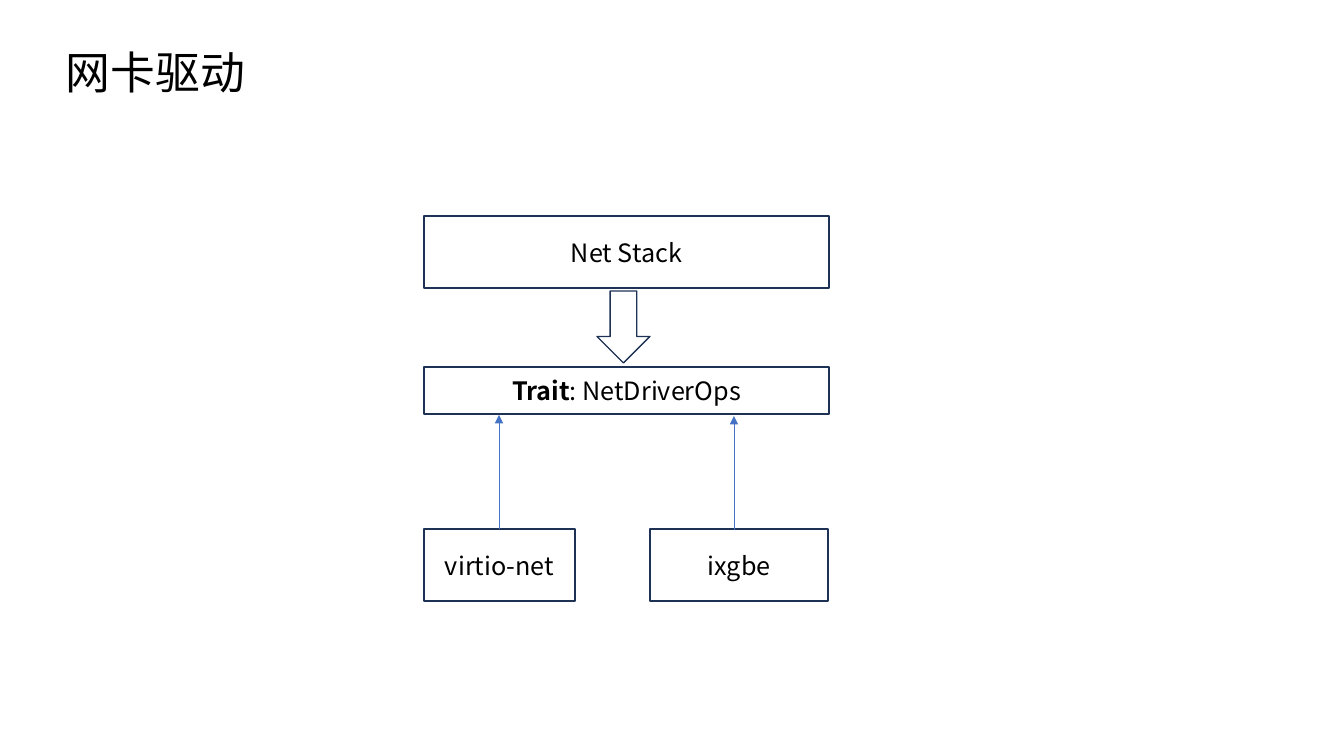
from lxml import etree
from pptx import Presentation
from pptx.dml.color import RGBColor
from pptx.enum.shapes import MSO_CONNECTOR, MSO_SHAPE
from pptx.enum.text import MSO_ANCHOR, MSO_AUTO_SIZE, PP_ALIGN
from pptx.oxml.ns import qn
from pptx.util import Pt

EMU_PER_PX = 12192000 / 1344
FONT = "Noto Sans CJK SC"
BLACK = RGBColor(0x00, 0x00, 0x00)
WHITE = RGBColor(0xFF, 0xFF, 0xFF)
NAVY = RGBColor(0x1E, 0x32, 0x56)
BLUE = RGBColor(0x44, 0x72, 0xC4)
RECTANGLE, DOWN_ARROW = MSO_SHAPE.RECTANGLE, MSO_SHAPE.DOWN_ARROW
STRAIGHT = MSO_CONNECTOR.STRAIGHT
LEFT, CENTER = PP_ALIGN.LEFT, PP_ALIGN.CENTER
TOP, MIDDLE = MSO_ANCHOR.TOP, MSO_ANCHOR.MIDDLE
GROW = MSO_AUTO_SIZE.SHAPE_TO_FIT_TEXT


def px(*lengths):
    return [round(length * EMU_PER_PX) for length in lengths]


def write(frame, text, *, lead="", size=18, align=CENTER, anchor=MIDDLE):
    """Fill a text frame with a bold lead, if any, followed by plain text."""
    frame.word_wrap = True
    frame.vertical_anchor = anchor
    paragraph = frame.paragraphs[0]
    paragraph.alignment = align
    for part, bold in ((lead, True), (text, False)):
        if not part:
            continue
        run = paragraph.add_run()
        run.text = part
        run.font.name, run.font.size, run.font.bold = FONT, Pt(size), bold
        run.font.color.rgb = BLACK
        east_asian = etree.Element(qn("a:ea"), typeface=FONT)
        run.font._element.find(qn("a:latin")).addnext(east_asian)


class Diagram:
    def __init__(self, slide):
        self.shapes = slide.shapes

    def title(self, text, *bounds):
        heading = self.shapes.add_textbox(*px(*bounds))
        write(heading.text_frame, text, size=32, align=LEFT, anchor=TOP)
        heading.text_frame.auto_size = GROW

    def outline(self, preset, *bounds):
        shape = self.shapes.add_shape(preset, *px(*bounds))
        shape.shadow.inherit = False
        shape.fill.solid()
        shape.fill.fore_color.rgb = WHITE
        shape.line.color.rgb = NAVY
        shape.line.width = Pt(1)
        return shape

    def box(self, text, *bounds, lead=""):
        write(self.outline(RECTANGLE, *bounds).text_frame, text, lead=lead)

    def arrow_up(self, x, start, end):
        arrow = self.shapes.add_connector(STRAIGHT, *px(x, start, x, end))
        arrow.line.color.rgb = BLUE
        arrow.line.width = Pt(0.5)
        etree.SubElement(arrow.line._get_or_add_ln(), qn("a:tailEnd"), type="triangle")
        etree.SubElement(arrow._element.spPr, qn("a:effectLst"))


def main():
    presentation = Presentation()
    presentation.slide_width, presentation.slide_height = px(1344, 756)
    diagram = Diagram(presentation.slides.add_slide(presentation.slide_layouts[6]))

    left, width, height = 424, 405, 72
    driver_top = 529
    diagram.title("网卡驱动", 56, 40, 1099, 65)
    diagram.box("Net Stack", left, 216, width, height)
    diagram.outline(DOWN_ARROW, 597, 291, 53, height)
    diagram.box(": NetDriverOps", left, 367, width, 47, lead="Trait")
    diagram.box("virtio-net", left, driver_top, 151, height)
    diagram.box("ixgbe", 650, driver_top, 178, height)
    diagram.arrow_up(499, driver_top, 415)
    diagram.arrow_up(734, driver_top + 1, 416)

    presentation.save("out.pptx")


if __name__ == "__main__":
    main()
